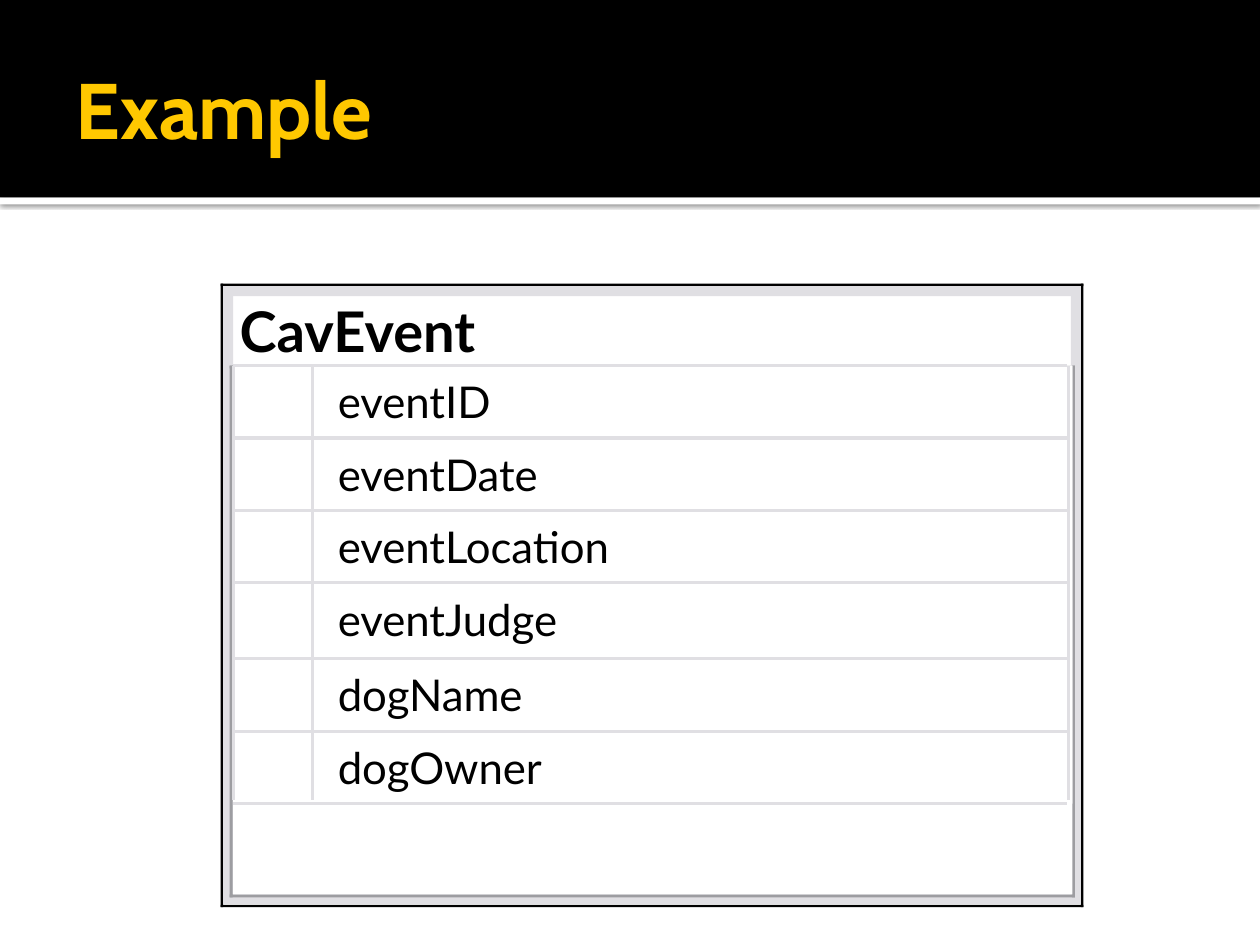
from itertools import accumulate

from lxml.etree import SubElement
from pptx import Presentation
from pptx.dml.color import RGBColor
from pptx.enum.shapes import MSO_CONNECTOR as Connector, MSO_SHAPE as Shape
from pptx.enum.text import MSO_ANCHOR as Anchor, PP_ALIGN as Align
from pptx.oxml.ns import qn
from pptx.util import Cm, Pt

BLACK = RGBColor(0x00, 0x00, 0x00)
WHITE = RGBColor(0xFF, 0xFF, 0xFF)
GOLD = RGBColor(0xFF, 0xC8, 0x00)
LIGHT_GREY = RGBColor(0xE0, 0xDF, 0xE3)
DARK_GREY = RGBColor(0x9D, 0x9D, 0xA1)

TITLE_FORMAT = {"name": "Cabin", "size": Pt(45), "bold": True}
ENTITY_FORMAT = {"name": "Lato", "size": Pt(32), "bold": True}
FIELD_FORMAT = {"name": "Lato", "size": Pt(25), "bold": False}

# Field name, text width and row height in centimetres
FIELDS = [
    ("eventID", 3.5, 1.46),
    ("eventDate", 4.45, 1.46),
    ("eventLocation", 5.92, 1.46),
    ("eventJudge", 4.95, 1.53),
    ("dogName", 4.14, 1.46),
    ("dogOwner", 4.45, 1.46),
]
TABLE_LEFT, TABLE_TOP, TABLE_RIGHT, TABLE_BOTTOM = 4.7, 7.37, 21.62, 18.03
KEY_RIGHT = 6.3
RULE_RIGHT = 21.5
RULE_BOTTOM = 16.13


class SlidePainter:
    """Draws styled elements on one page, with all lengths in centimetres."""

    def __init__(self, page):
        self.page = page

    def add_text(self, frame, text, style, color):
        para = frame.paragraphs[0]
        para.alignment = Align.LEFT
        span = para.add_run()
        span.text = text
        for name, value in style.items():
            setattr(span.font, name, value)
        span.font.color.rgb = color

    def title(self, text, left, top, width, height):
        box = self.page.shapes.title
        box.left, box.top, box.width, box.height = map(Cm, (left, top, width, height))
        box.text_frame.vertical_anchor = Anchor.MIDDLE
        self.add_text(box.text_frame, text, TITLE_FORMAT, GOLD)

    def block(self, left, top, width, height, color):
        block = self.page.shapes.add_shape(
            Shape.RECTANGLE, *map(Cm, (left, top, width, height)))
        block.shadow.inherit = False
        block.fill.solid()
        block.fill.fore_color.rgb = color
        block.line.fill.background()
        return block

    def soft_shadow(self, block):
        effects = block._element.spPr.find(qn("a:effectLst"))
        shadow = SubElement(effects, qn("a:outerShdw"), blurRad=str(Pt(2.5)),
                            dist=str(Pt(0.8)), dir="5400000", rotWithShape="0")
        color = SubElement(shadow, qn("a:srgbClr"), val=str(BLACK))
        SubElement(color, qn("a:alpha"), val="60000")

    def frame(self, left, top, right, bottom, thickness, color):
        """Draw a rectangular border from four strips."""
        width, height = right - left, bottom - top
        self.block(right - thickness, top, thickness, height, color)
        self.block(left, bottom - thickness, width, thickness, color)
        self.block(left, top, thickness, height, color)
        self.block(left, top, width, thickness, color)

    def label(self, text, left, top, width, height, style):
        box = self.page.shapes.add_textbox(*map(Cm, (left, top, width, height)))
        frame = box.text_frame
        frame.word_wrap = False
        for side in ("left", "top", "right", "bottom"):
            setattr(frame, f"margin_{side}", 0)
        self.add_text(frame, text, style, BLACK)

    def rule(self, x1, y1, x2, y2):
        line = self.page.shapes.add_connector(
            Connector.STRAIGHT, *map(Cm, (x1, y1, x2, y2)))
        line.line.color.rgb = LIGHT_GREY
        line.line.width = Pt(1.75)
        SubElement(line._element.spPr, qn("a:effectLst"))


def draw_header(painter):
    stripe = painter.block(0, 3.99, 25.4, 0.13, WHITE)
    painter.soft_shadow(stripe)
    band = painter.block(0, 0, 25.4, 3.98, BLACK)
    painter.title("Example", 1.27, 0.43, 22.86, 3.48)
    # The title placeholder comes first, so lift it above the band
    band._element.addnext(painter.page.shapes.title._element)


def draw_entity(painter):
    painter.frame(4.45, 5.72, 21.84, 18.29, 0.05, BLACK)
    painter.frame(4.5, 5.77, 21.79, 18.23, 0.2, LIGHT_GREY)
    painter.label("CavEvent", 4.83, 5.97, 5.33, 1.37, ENTITY_FORMAT)
    painter.frame(4.63, TABLE_TOP, 21.67, 18.09, 0.06, DARK_GREY)
    painter.block(TABLE_LEFT, TABLE_TOP, TABLE_RIGHT - TABLE_LEFT,
                  TABLE_BOTTOM - TABLE_TOP, WHITE)

    edges = list(accumulate((height for _, _, height in FIELDS), initial=TABLE_TOP))
    for (name, width, height), top in zip(FIELDS, edges):
        painter.block(4.78, top + 0.07, 1.52, height - 0.07, WHITE)
        painter.block(6.35, top, TABLE_RIGHT - 6.35, height, WHITE)
        painter.label(name, 6.81, top + 0.19, width, 1.27, FIELD_FORMAT)
    for y in edges:
        painter.rule(TABLE_LEFT, y, RULE_RIGHT, y)
    for x in (TABLE_LEFT, KEY_RIGHT, 21.54):
        painter.rule(x, TABLE_TOP, x, RULE_BOTTOM)


def main():
    deck = Presentation()
    deck.slide_width, deck.slide_height = Cm(25.4), Cm(19.05)
    painter = SlidePainter(deck.slides.add_slide(deck.slide_layouts[5]))
    draw_header(painter)
    draw_entity(painter)
    deck.save("out.pptx")


if __name__ == "__main__":
    main()
